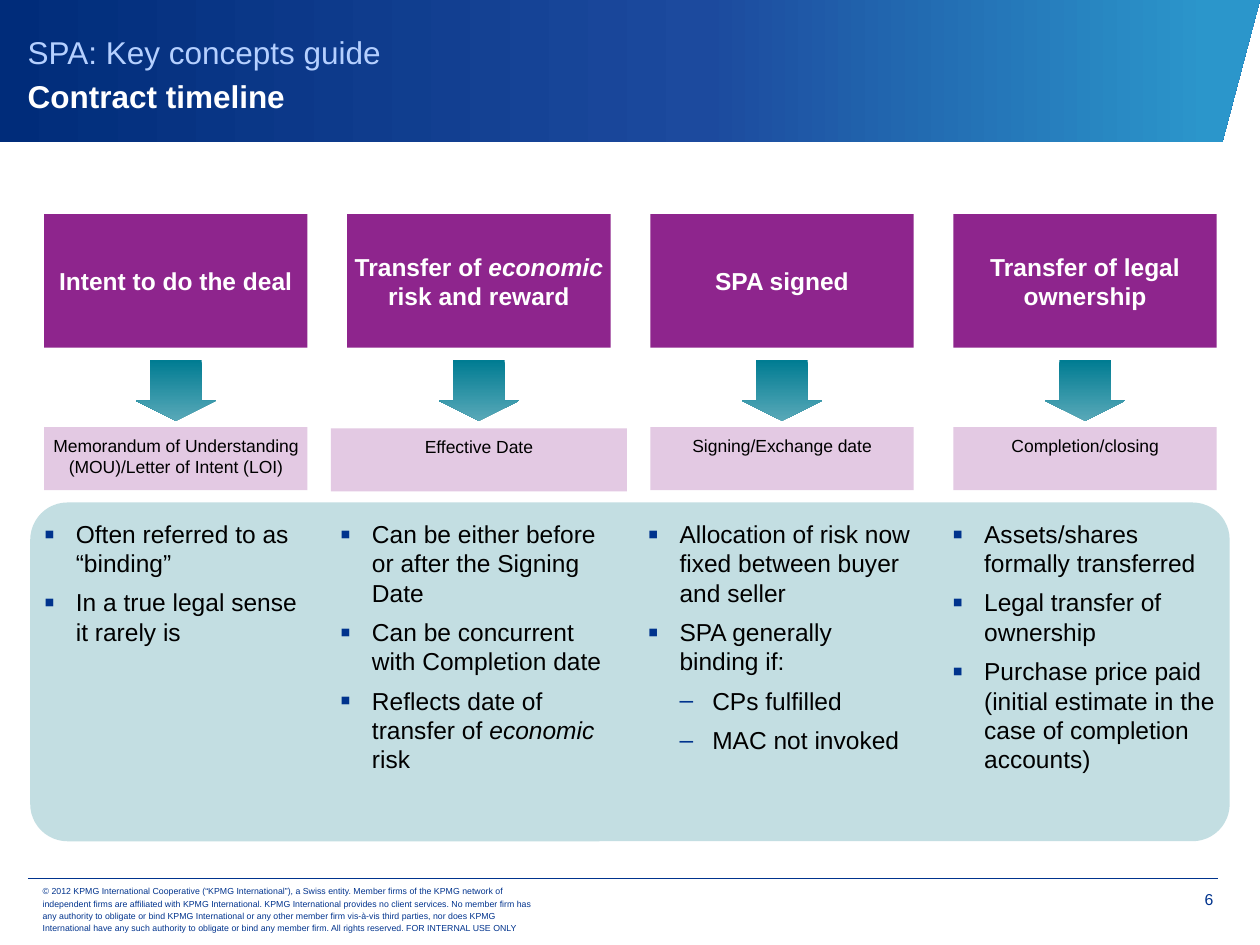
from lxml.etree import SubElement
from pptx import Presentation
from pptx.dml.color import RGBColor
from pptx.enum.shapes import MSO_CONNECTOR, MSO_SHAPE
from pptx.enum.text import MSO_ANCHOR, PP_ALIGN
from pptx.oxml.ns import qn
from pptx.util import Cm, Pt

NAVY = RGBColor(0x00, 0x33, 0x8D)
PALE = RGBColor(0xB5, 0xD0, 0xFF)
WHITE = RGBColor(0xFF, 0xFF, 0xFF)
BLACK = RGBColor(0x00, 0x00, 0x00)
PURPLE = RGBColor(0x8E, 0x25, 0x8D)
LILAC = RGBColor(0xE3, 0xC9, 0xE3)
AQUA = RGBColor(0xC3, 0xDE, 0xE2)
BAND = [(0, RGBColor(0x00, 0x2C, 0x7A)), (56, RGBColor(0x1C, 0x4A, 0x9E)),
        (96, RGBColor(0x2B, 0x96, 0xCB))]
TEAL = [(0, RGBColor(0x00, 0x7C, 0x92)), (100, RGBColor(0x58, 0xA8, 0xB8))]

TITLE = "SPA: Key concepts guide\vContract timeline"
LEGAL = (
    "© 2012 KPMG International Cooperative (“KPMG International”), a Swiss entity. "
    "Member firms of the KPMG network of independent firms are affiliated with KPMG "
    "International. KPMG International provides no client services. No member firm has "
    "any authority to obligate or bind KPMG International or any other member firm "
    "vis-à-vis third parties, nor does KPMG International have any such authority to "
    "obligate or bind any member firm. All rights reserved. FOR INTERNAL USE ONLY")
PAGE = "6"

# Asterisks mark italics; a leading "– " marks a second-level point.
STAGES = [
    {"head": "Intent to do the deal",
     "date": "Memorandum of Understanding (MOU)/Letter of Intent (LOI)",
     "tag": (3.39, 5.31), "left": 0.89,
     "points": ["Often referred to as “binding”",
                "In a true legal sense it rarely is"]},
    {"head": "Transfer of *economic* risk and reward",
     "date": "Effective Date",
     "tag": (3.4, 5.97), "left": 6.86,
     "points": ["Can be either before or after the Signing Date",
                "Can be concurrent with Completion date",
                "Reflects date of transfer of *economic* risk"]},
    {"head": "SPA signed",
     "date": "Signing/Exchange date",
     "tag": (3.39, 5.31), "left": 13.06,
     "points": ["Allocation of risk now fixed between buyer and seller",
                "SPA generally binding if:",
                "– CPs fulfilled",
                "– MAC not invoked"]},
    {"head": "Transfer of legal ownership",
     "date": "Completion/closing",
     "tag": (3.39, 5.31), "left": 19.2,
     "points": ["Assets/shares formally transferred",
                "Legal transfer of ownership",
                "Purchase price paid (initial estimate in the case of completion accounts)"]},
]
RULES = [(0.84, 24.54), (0.56, 24.56)]
RULE_Y = 17.7
FIRST, PITCH, WIDE = 0.89, 6.11, 5.31
INCH = 2.54


def shade(shape, stops, angle):
    """Fill with a gradient of (percent, colour) stops."""
    shape.fill.gradient()
    shape.fill.gradient_angle = angle
    group = next(shape.element.iter(qn("a:gsLst")))
    for old in list(group):
        group.remove(old)
    for place, color in stops:
        stop = SubElement(group, qn("a:gs"), pos=str(place * 1000))
        SubElement(stop, qn("a:srgbClr"), val=str(color))


def plain(shape):
    shape.shadow.inherit = False
    shape.line.fill.background()


def block(slide, kind, box, color=None):
    shape = slide.shapes.add_shape(kind, *map(Cm, box))
    plain(shape)
    if color is not None:
        shape.fill.solid()
        shape.fill.fore_color.rgb = color
    return shape


def setup(shape, inset, anchor=MSO_ANCHOR.TOP):
    frame = shape.text_frame
    frame.word_wrap = True
    frame.vertical_anchor = anchor
    (frame.margin_left, frame.margin_top,
     frame.margin_right, frame.margin_bottom) = map(Cm, inset)
    return frame


def label(slide, box, inset, anchor=MSO_ANCHOR.TOP):
    return setup(slide.shapes.add_textbox(*map(Cm, box)), inset, anchor)


def write(para, text, size, color, bold=False, align=PP_ALIGN.LEFT):
    """Set text, with parts between asterisks in italics."""
    para.alignment = align
    for i, part in enumerate(text.split("*")):
        run = para.add_run()
        run.text = part
        font = run.font
        font.name, font.size, font.bold = "Arial", Pt(size), bold
        font.italic = i % 2 == 1
        font.color.rgb = color


def bullet(para, deep):
    props = para._p.get_or_add_pPr()
    left, hang = (1.3, 0.66) if deep else (0.64, 0.64)
    props.set("marL", str(Cm(left)))
    props.set("indent", str(-Cm(hang)))
    tint = SubElement(props, qn("a:buClr"))
    SubElement(tint, qn("a:srgbClr"), val=str(NAVY))
    if not deep:
        SubElement(props, qn("a:buSzPct"), val="125000")
    SubElement(props, qn("a:buFont"), typeface="Arial")
    SubElement(props, qn("a:buChar"), char="–" if deep else "▪")


def header(slide):
    build = slide.shapes.build_freeform(0, Cm(2.87))
    build.add_line_segments([(Cm(24.64), Cm(2.87)), (Cm(25.4), 0), (0, 0)])
    band = build.convert_to_shape()
    plain(band)
    shade(band, BAND, 0)
    frame = label(slide, (0.56, 0.33, 23.75, 2.21), (0, 0, 0, 0), MSO_ANCHOR.MIDDLE)
    para = frame.paragraphs[0]
    para.text = TITLE
    para.line_spacing = Pt(25)
    for run, color, bold in zip(para.runs, (PALE, WHITE), (False, True)):
        run.font.name, run.font.size, run.font.bold = "Arial", Pt(18), bold
        run.font.color.rgb = color


def footer(slide):
    frame = label(slide, (0.61, 17.88, 10.54, 0.89), (0.25, 0.13, 0.25, 0.13),
                  MSO_ANCHOR.MIDDLE)
    frame.paragraphs[0].line_spacing = Pt(7)
    write(frame.paragraphs[0], LEGAL, 5, NAVY)
    frame = label(slide, (23.06, 17.73, 1.4, 0.79), (0.2, 0.2, 0, 0))
    write(frame.paragraphs[0], PAGE, 9, NAVY, align=PP_ALIGN.RIGHT)
    for start, end in RULES:
        rule = slide.shapes.add_connector(
            MSO_CONNECTOR.STRAIGHT, Cm(start), Cm(RULE_Y), Cm(end), Cm(RULE_Y))
        rule.line.color.rgb = NAVY
        rule.line.width = Pt(0.25)
        SubElement(rule.element.spPr, qn("a:effectLst"))


def column(slide, index, stage):
    left = FIRST + index * PITCH
    mid = left + WIDE / 2
    inset = (0.15,) * 4

    head = block(slide, MSO_SHAPE.RECTANGLE, (left, 4.32, WIDE, 2.69), PURPLE)
    frame = setup(head, inset, MSO_ANCHOR.MIDDLE)
    write(frame.paragraphs[0], stage["head"], 14, WHITE, True, PP_ALIGN.CENTER)

    arrow = block(slide, MSO_SHAPE.DOWN_ARROW, (mid - 0.81, 7.26, 1.62, 1.22))
    arrow.adjustments[0], arrow.adjustments[1] = 0.64, 0.33
    shade(arrow, TEAL, 270)

    top, wide = stage["tag"]
    tag = block(slide, MSO_SHAPE.RECTANGLE,
                (mid - wide / 2, top * INCH, wide, 1.27), LILAC)
    para = setup(tag, inset).paragraphs[0]
    para.space_after = Pt(3)
    write(para, stage["date"], 10, BLACK, align=PP_ALIGN.CENTER)

    frame = label(slide, (stage["left"], 10.46, 5.32, 6.65), (0, 0, 0, 0))
    for i, text in enumerate(stage["points"]):
        para = frame.add_paragraph() if i else frame.paragraphs[0]
        deep = text.startswith("– ")
        bullet(para, deep)
        para.level = 2 if deep else 1
        if i:
            para.space_before = Pt(5.6)
        write(para, text.removeprefix("– "), 14, BLACK)


def main():
    deck = Presentation()
    deck.slide_width, deck.slide_height = Cm(25.4), Cm(19.05)
    slide = deck.slides.add_slide(deck.slide_layouts[6])
    header(slide)
    footer(slide)
    panel = block(slide, MSO_SHAPE.ROUNDED_RECTANGLE, (0.61, 10.13, 24.18, 6.83), AQUA)
    panel.adjustments[0] = 0.11
    for index, stage in enumerate(STAGES):
        column(slide, index, stage)
    deck.save("out.pptx")


if __name__ == "__main__":
    main()
